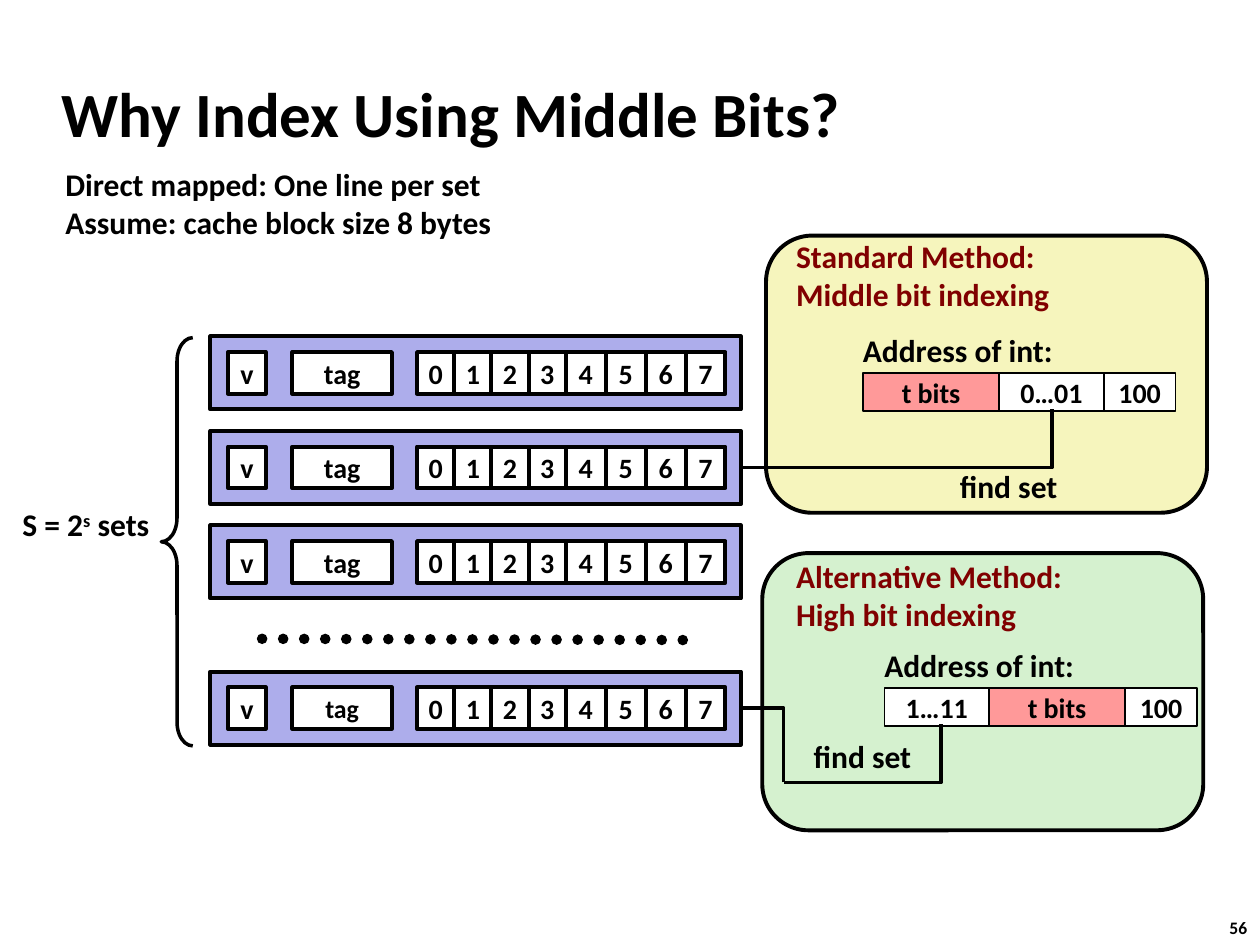
from dataclasses import dataclass
from itertools import accumulate

from lxml import etree
from pptx import Presentation
from pptx.dml.color import RGBColor
from pptx.enum.dml import MSO_LINE
from pptx.enum.shapes import MSO_CONNECTOR, MSO_SHAPE
from pptx.enum.text import MSO_ANCHOR, MSO_AUTO_SIZE, PP_ALIGN
from pptx.oxml.ns import qn
from pptx.util import Inches, Pt

STRAIGHT, ELBOW = MSO_CONNECTOR.STRAIGHT, MSO_CONNECTOR.ELBOW
RECTANGLE, ROUNDED = MSO_SHAPE.RECTANGLE, MSO_SHAPE.ROUNDED_RECTANGLE
LEFT_BRACE = MSO_SHAPE.LEFT_BRACE
MIDDLE = MSO_ANCHOR.MIDDLE
LEFT, CENTER = PP_ALIGN.LEFT, PP_ALIGN.CENTER
FIT_SHAPE, NO_FIT = MSO_AUTO_SIZE.SHAPE_TO_FIT_TEXT, MSO_AUTO_SIZE.NONE
ROUND_DOT = MSO_LINE.ROUND_DOT

COLUMNS, ROWS = 100, 75
SLIDE_WIDTH, SLIDE_HEIGHT = Inches(10), Inches(7.5)
FONT = "Calibri"
COLORS = {
    "black": "000000", "white": "FFFFFF", "heading": "800000",
    "line": "ADADEB", "tag": "FF9999", "standard": "F6F5BD", "alternative": "D5F1CF",
}

LINE_LEFT, LINE_WIDTH, LINE_HEIGHT = 16.7, 42.1, 5.8
CELL_INSET, CELL_HEIGHT = 1.25, 3.3
BYTES_LEFT = 33.1
BYTE_WIDTHS = [2.95] * 4 + [3.17] * 4
ADDRESS_HEIGHT = 3


@dataclass(frozen=True)
class Box:
    column: float
    row: float
    columns: float
    rows: float

    def lengths(self) -> tuple[int, int, int, int]:
        return (across(self.column), down(self.row), across(self.columns), down(self.rows))


@dataclass(frozen=True)
class CacheLine:
    row: float
    tag_size: float = 16


@dataclass(frozen=True)
class AddressField:
    text: str
    columns: float
    color: str = "white"


@dataclass(frozen=True)
class Method:
    frame: Box
    color: str
    heading: Box
    lines: tuple[str, str]
    address_label: Box
    fields_left: float
    fields_top: float
    fields: tuple[AddressField, ...]
    find_label: Box
    route: tuple[tuple[float, float], ...]


TAG = AddressField("t bits", 10.8, "tag")
OFFSET = AddressField("100", 5.7)
CACHE_LINES = (CacheLine(26.7), CacheLine(34.2), CacheLine(41.7), CacheLine(53.3, 14.8))
METHODS = (
    Method(Box(60.8, 18.7, 35, 22), "standard", Box(62.2, 18.3, 33.3, 7.1),
           ("Standard Method:", "Middle bit indexing"), Box(67.5, 25.8, 17.2, 4),
           68.5, 29.6, (TAG, AddressField("0…01", 8.3), OFFSET),
           Box(75.2, 36.6, 9.8, 4), ((83.5, 32.5), (58.8, 37.1))),
    Method(Box(60.5, 43.9, 35, 22), "alternative", Box(62.2, 43.7, 23.4, 7.1),
           ("Alternative Method:", "High bit indexing"), Box(69.2, 50.8, 17.2, 4),
           70.2, 54.6, (AddressField("1…11", 8.3), TAG, OFFSET),
           Box(63.6, 58, 9.8, 4), ((74.7, 57.5), (62.2, 62.1), (58.8, 56.2))),
)


def across(columns: float) -> int:
    return round(SLIDE_WIDTH * columns / COLUMNS)


def down(rows: float) -> int:
    return round(SLIDE_HEIGHT * rows / ROWS)


def rgb(name: str) -> RGBColor:
    return RGBColor.from_string(COLORS[name])


def add_run(paragraph, text: str, size: float, color: str = "black"):
    run = paragraph.add_run()
    run.text = text
    run.font.name, run.font.size, run.font.bold = FONT, Pt(size), True
    run.font.color.rgb = rgb(color)
    return run


def add_label(shapes, box: Box, lines: tuple[str, ...], size: float = 18, color: str = "black"):
    shape = shapes.add_textbox(*box.lengths())
    frame = shape.text_frame
    frame.word_wrap, frame.auto_size = False, FIT_SHAPE
    for index, line in enumerate(lines):
        paragraph = frame.add_paragraph() if index else frame.paragraphs[0]
        add_run(paragraph, line, size, color)
    return shape


def add_block(shapes, box: Box, color: str | None, weight: float = 2.25, text: str = "",
              size: float = 16, preset=RECTANGLE):
    shape = shapes.add_shape(preset, *box.lengths())
    shape.shadow.inherit = False
    if color:
        shape.fill.solid()
        shape.fill.fore_color.rgb = rgb(color)
    else:
        shape.fill.background()
    shape.line.color.rgb, shape.line.width = rgb("black"), Pt(weight)
    if text:
        frame = shape.text_frame
        frame.word_wrap, frame.vertical_anchor = False, MIDDLE
        frame.paragraphs[0].alignment = CENTER
        add_run(frame.paragraphs[0], text, size)
    return shape


def add_line(shapes, kind, box: Box, weight: float):
    left, top, width, height = box.lengths()
    connector = shapes.add_connector(kind, left, top, left + width, top + height)
    connector.line.color.rgb, connector.line.width = rgb("black"), Pt(weight)
    etree.SubElement(connector._element.spPr, qn("a:effectLst"))
    return connector


def add_elbow(shapes, start: tuple[float, float], end: tuple[float, float]) -> None:
    width, height = abs(end[1] - start[1]), abs(end[0] - start[0])
    middle_column, middle_row = (start[0] + end[0]) / 2, (start[1] + end[1]) / 2
    box = Box(middle_column - width / 2, middle_row - height / 2, width, height)
    properties = add_line(shapes, ELBOW, box, 2)._element.spPr
    properties.find(qn("a:prstGeom")).set("prst", "bentConnector2")
    transform = properties.find(qn("a:xfrm"))
    goes_down = end[1] > start[1]
    transform.set("rot", str((90 if goes_down else 270) * 60000))
    if not goes_down:
        transform.set("flipV", "1")


def draw_cache_line(shapes, line: CacheLine) -> None:
    add_block(shapes, Box(LINE_LEFT, line.row, LINE_WIDTH, LINE_HEIGHT), "line")
    top = line.row + CELL_INSET
    add_block(shapes, Box(18.1, top, 3, CELL_HEIGHT), "white", text="v")
    add_block(shapes, Box(23.2, top, 7.9, CELL_HEIGHT), "white", text="tag", size=line.tag_size)
    lefts = accumulate(BYTE_WIDTHS, initial=BYTES_LEFT)
    for number, (left, width) in enumerate(zip(lefts, BYTE_WIDTHS)):
        add_block(shapes, Box(left, top, width, CELL_HEIGHT), "white", text=str(number))


def draw_method(shapes, method: Method) -> None:
    add_block(shapes, method.frame, method.color, preset=ROUNDED)
    add_label(shapes, method.heading, method.lines, color="heading")
    add_label(shapes, method.address_label, ("Address of int:",))
    left = method.fields_left
    for field in method.fields:
        box = Box(left, method.fields_top, field.columns, ADDRESS_HEIGHT)
        add_block(shapes, box, field.color, 1, field.text)
        left += field.columns
    add_label(shapes, method.find_label, ("find set",))
    for start, end in zip(method.route, method.route[1:]):
        add_elbow(shapes, start, end)


def draw_title(title) -> None:
    title.left, title.top, title.width, title.height = Box(3.9, 4.8, 83, 8.3).lengths()
    frame = title.text_frame
    frame.vertical_anchor, frame.auto_size = MIDDLE, NO_FIT
    frame.paragraphs[0].alignment = LEFT
    add_run(frame.paragraphs[0], "Why Index Using Middle Bits?", 36)


def draw_set_count(shapes) -> None:
    brace = add_block(shapes, Box(12.8, 26.8, 2.5, 32.4), None, 2, preset=LEFT_BRACE)
    brace.adjustments[0], brace.adjustments[1] = 0.75, 0.5
    label = add_label(shapes, Box(0.8, 39.6, 12.3, 4), ("S = 2",))
    paragraph = label.text_frame.paragraphs[0]
    exponent = add_run(paragraph, "s", 18)
    exponent.font._element.set("baseline", "30000")
    add_run(paragraph, " sets", 18)


def main() -> None:
    presentation = Presentation()
    presentation.slide_width, presentation.slide_height = SLIDE_WIDTH, SLIDE_HEIGHT
    slide = presentation.slides.add_slide(presentation.slide_layouts[5])
    shapes = slide.shapes
    draw_title(shapes.title)
    add_label(shapes, Box(96.6, 72.3, 3.7, 2.7), ("56",), 10)
    draw_set_count(shapes)
    dots = add_line(shapes, STRAIGHT, Box(20.8, 50.7, 34.2, 0.1), 6)
    dots.line.dash_style = ROUND_DOT
    dots._element.spPr.find(qn("a:ln")).set("cap", "rnd")
    add_label(shapes, Box(4.2, 12.6, 36.1, 7.1),
              ("Direct mapped: One line per set", "Assume: cache block size 8 bytes"))
    for line in CACHE_LINES:
        draw_cache_line(shapes, line)
    for method in METHODS:
        draw_method(shapes.add_group_shape().shapes, method)
    presentation.save("out.pptx")


if __name__ == "__main__":
    main()
